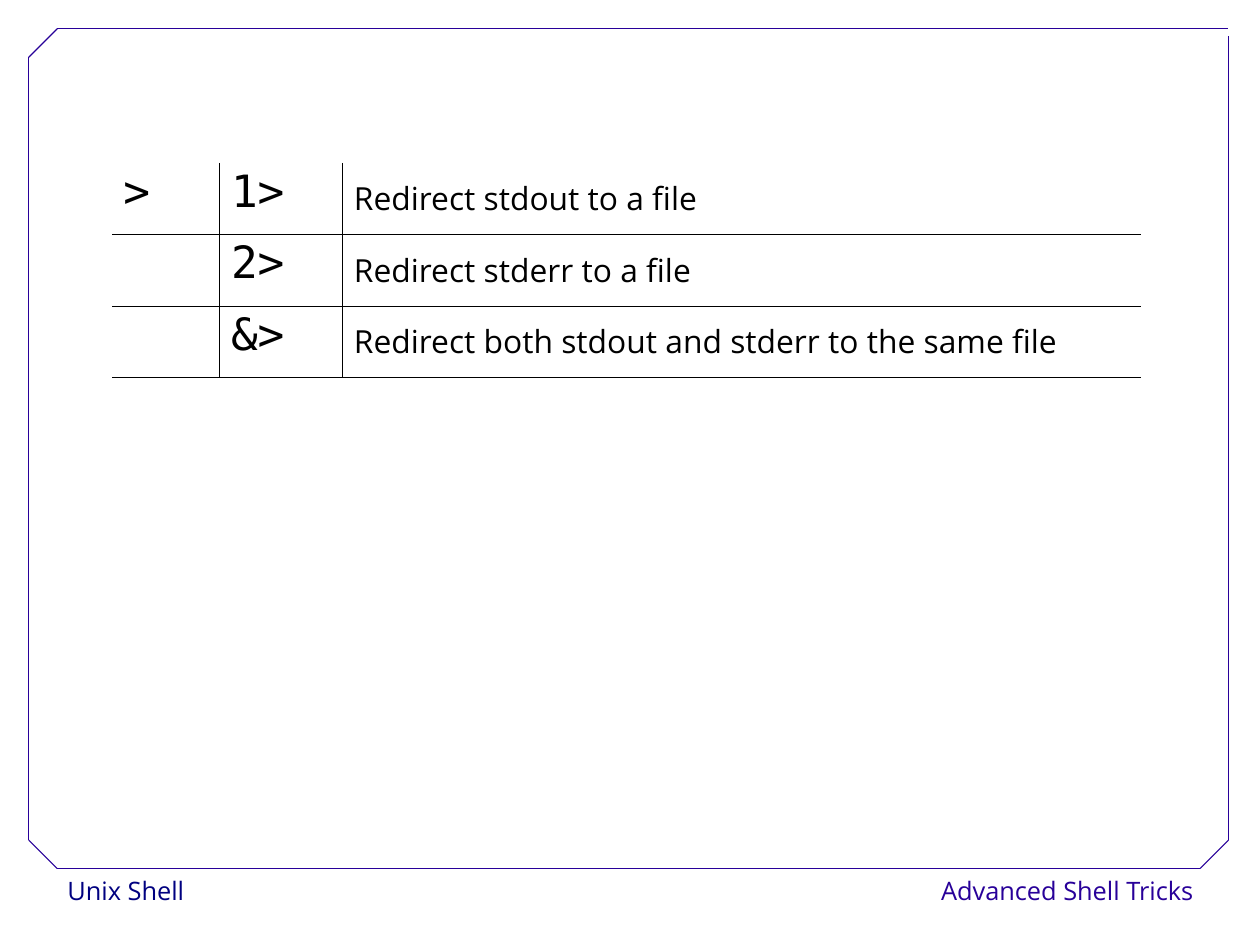
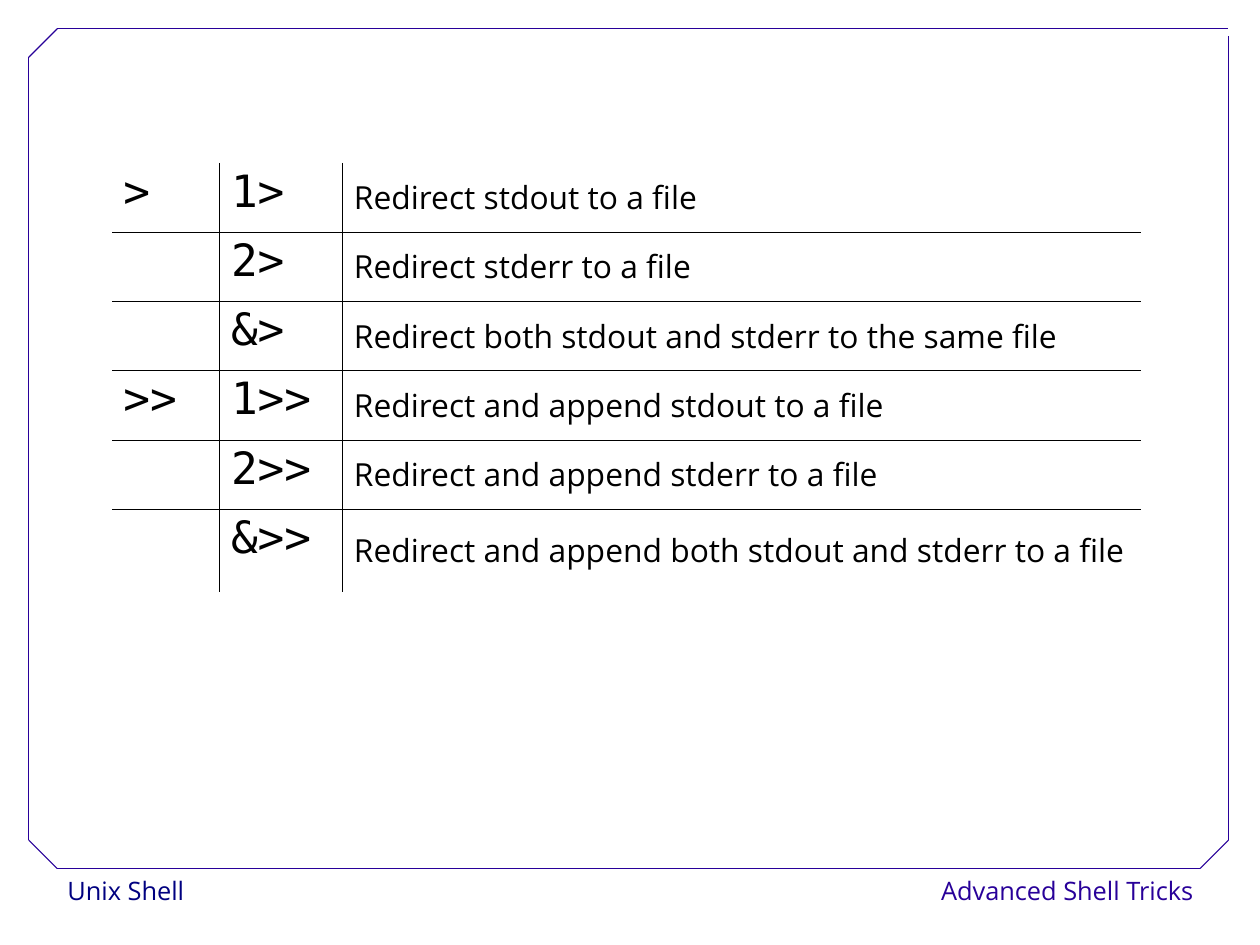
from lxml import etree
from pptx import Presentation
from pptx.dml.color import RGBColor
from pptx.enum.shapes import MSO_CONNECTOR
from pptx.enum.text import MSO_ANCHOR, PP_ALIGN
from pptx.oxml.ns import qn
from pptx.util import Cm, Pt

WHITE = RGBColor(0xFF, 0xFF, 0xFF)
BLACK = RGBColor(0x00, 0x00, 0x00)
NAVY = RGBColor(0x00, 0x00, 0x80)
INDIGO = RGBColor(0x28, 0x00, 0x99)
SANS, MONO = "Open Sans", "DejaVu Sans Mono"

COLUMNS = (2.39, 2.73, 17.75)
REDIRECTS = [
    (">", "1>", "Redirect stdout to a file"),
    ("", "2>", "Redirect stderr to a file"),
    ("", "&>", "Redirect both stdout and stderr to the same file"),
]
APPENDS = [
    (">>", "1>>", "Redirect and append stdout to a file"),
    ("", "2>>", "Redirect and append stderr to a file"),
    ("", "&>>", "Redirect and append both stdout and stderr to a file"),
]


def add_text(frame, text, font, size, color, spacing, align=PP_ALIGN.LEFT):
    para = frame.paragraphs[0]
    para.alignment = align
    para.line_spacing = spacing
    span = para.add_run()
    span.text = text
    span.font.name = font
    span.font.size = Pt(size)
    span.font.color.rgb = color


def add_footer(page, left, top, width, text, color, align):
    box = page.shapes.add_textbox(Cm(left), Cm(top), Cm(width), Cm(1.02))
    box.fill.solid()
    box.fill.fore_color.rgb = WHITE
    box.text_frame.word_wrap = True
    add_text(box.text_frame, text, SANS, 16, color, 1.02, align)


def add_frame(page, left, top, width, height, cut=0.63, gap=0.17):
    """Border with three cut corners and a small gap at the top right."""
    right, bottom = left + width, top + height
    lines = [
        ((left + cut, bottom), (right - cut, bottom)),
        ((left, bottom - cut), (left, top + cut)),
        ((left + cut, top), (right, top)),
        ((right, bottom - cut), (right, top + gap)),
        ((left, top + cut), (left + cut, top)),
        ((right - cut, bottom), (right, bottom - cut)),
        ((left, bottom - cut), (left + cut, bottom)),
    ]
    group = page.shapes.add_group_shape()
    for start, end in lines:
        line = group.shapes.add_connector(
            MSO_CONNECTOR.STRAIGHT, *(Cm(value) for value in start + end))
        line.line.color.rgb = INDIGO
        line.line.width = Pt(0.75)
        etree.SubElement(line._element.spPr, qn("a:effectLst"))


def set_borders(cell, sides):
    """Draw thin black lines on the given sides and none on the others."""
    props = cell._tc.get_or_add_tcPr()
    for index, side in enumerate("LRTB"):
        border = etree.Element(qn("a:ln" + side), w=str(Pt(0.45)))
        if side in sides:
            fill = etree.SubElement(border, qn("a:solidFill"))
            etree.SubElement(fill, qn("a:srgbClr"), val=str(BLACK))
        else:
            etree.SubElement(border, qn("a:noFill"))
        props.insert(index, border)


def add_operator_table(page, left, top, rows, heights, closed):
    shape = page.shapes.add_table(
        len(rows), len(COLUMNS), Cm(left), Cm(top),
        Cm(sum(COLUMNS)), Cm(sum(heights)))
    table = shape.table
    table.first_row = table.horz_banding = False
    for column, width in zip(table.columns, COLUMNS):
        column.width = Cm(width)
    last_row, last_column = len(rows) - 1, len(COLUMNS) - 1
    for r, (texts, height) in enumerate(zip(rows, heights)):
        table.rows[r].height = Cm(height)
        for c, text in enumerate(texts):
            cell = table.cell(r, c)
            cell.fill.background()
            sides = "L" if c > 0 else ""
            sides += "R" if c < last_column else ""
            sides += "T" if r > 0 else ""
            sides += "B" if r < last_row or closed else ""
            set_borders(cell, sides)
            is_description = c == last_column
            if is_description:
                cell.vertical_anchor = MSO_ANCHOR.MIDDLE
            if text:
                font, size = (SANS, 20) if is_description else (MONO, 28)
                add_text(cell.text_frame, text, font, size, BLACK, 0.93)


def add_page(deck, rows, heights, closed):
    page = deck.slides.add_slide(deck.slide_layouts[6])
    # Shared footer and border
    add_footer(page, 1.25, 19.3, 5.5, "Unix Shell", NAVY, PP_ALIGN.LEFT)
    add_footer(page, 19.27, 19.3, 7.5, "Advanced Shell Tricks", INDIGO,
               PP_ALIGN.RIGHT)
    add_frame(page, 0.64, 0.64, 26.66, 18.66)
    # Redirection operators
    add_operator_table(page, 2.49, 3.62, rows, heights, closed)


def main():
    deck = Presentation()
    deck.slide_width, deck.slide_height = Cm(28), Cm(21)
    add_page(deck, REDIRECTS, [1.59] * 3, closed=True)
    add_page(deck, REDIRECTS + APPENDS, [1.54] * 5 + [1.83], closed=False)
    deck.save("out.pptx")


if __name__ == "__main__":
    main()
